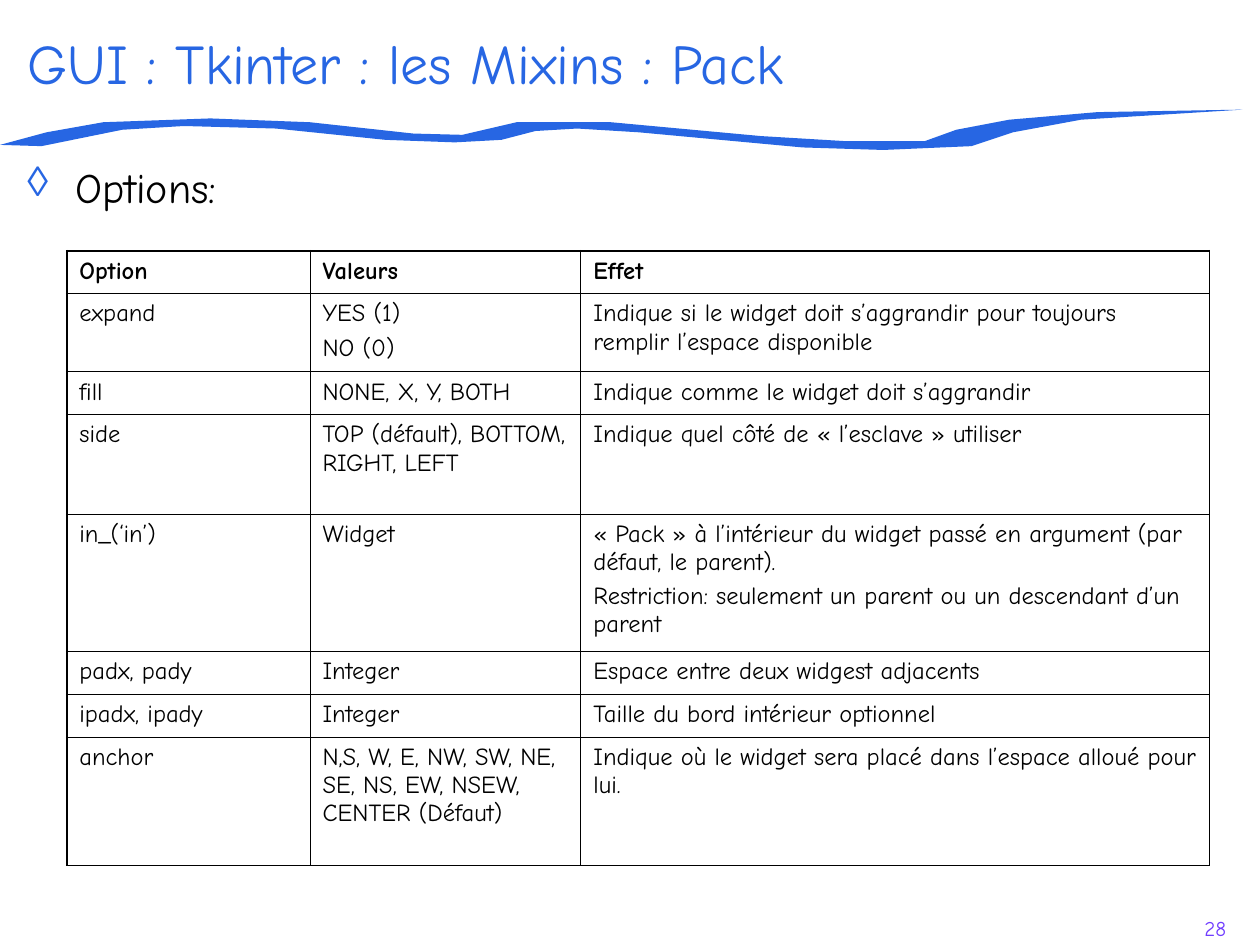
from dataclasses import dataclass

from lxml.etree import SubElement
from pptx import Presentation
from pptx.dml.color import RGBColor
from pptx.enum.text import MSO_ANCHOR, PP_ALIGN
from pptx.oxml.ns import qn
from pptx.util import Inches, Pt


@dataclass(frozen=True)
class Theme:
    """Colours, font and type sizes of the slide."""
    font: str = "Comic Neue"
    accent: str = "2766E3"
    ink: str = "000000"
    number: str = "703DFF"
    title_size: int = 32
    body_size: int = 24
    table_size: int = 14
    number_size: int = 12
    outer_line: float = 1.08
    inner_line: float = 0.45


THEME = Theme()

BRUSH = [
    (0.33, 1.16), (0.97, 1.03), (1.46, 1), (2.19, 1.02), (3.06, 1.11), (3.61, 1.13),
    (3.98, 1.11), (4.25, 1.04), (4.58, 1.02), (5.07, 1.05), (6.37, 1.17), (7.01, 1.19),
    (7.71, 1.16), (8.04, 1.05), (8.58, 0.95), (9.86, 0.87), (8.71, 0.89), (8.01, 0.95),
    (7.59, 1.03), (7.34, 1.12), (6.71, 1.12), (6.04, 1.08), (4.85, 0.97), (4.1, 0.97),
    (3.67, 1.07), (3.28, 1.06), (2.46, 0.97), (1.67, 0.94), (0.82, 0.97), (0.37, 1.05),
    (0, 1.15),
]

COLUMNS = [1.93, 2.15, 4.99]
ROWS = [
    (0.34, "Option", "Valeurs", "Effet"),
    (0.62, "expand", "YES (1)\nNO (0)",
     "Indique si le widget doit s’aggrandir pour toujours remplir l’espace disponible"),
    (0.34, "fill", "NONE, X, Y, BOTH", "Indique comme le widget doit s’aggrandir"),
    (0.79, "side", "TOP (défault), BOTTOM, RIGHT, LEFT",
     "Indique quel côté de « l’esclave » utiliser"),
    (1.09, "in_(‘in’)", "Widget",
     "« Pack » à l’intérieur du widget passé en argument (par défaut, le parent).\n"
     "Restriction: seulement un parent ou un descendant d’un parent"),
    (0.34, "padx, pady", "Integer", "Espace entre deux widgest adjacents"),
    (0.34, "ipadx, ipady", "Integer", "Taille du bord intérieur optionnel"),
    (1.02, "anchor", "N,S, W, E, NW, SW, NE, SE, NS, EW, NSEW, CENTER (Défaut)",
     "Indique où le widget sera placé dans l’espace alloué pour lui."),
]


def style_runs(p, size, color, bold=False):
    """Format every run of a paragraph."""
    for r in p.runs:
        r.font.name = THEME.font
        r.font.size = Pt(size)
        r.font.bold = bold
        r.font.color.rgb = RGBColor.from_string(color)


def add_text(s, text, box, size, color, align=PP_ALIGN.LEFT, anchor=MSO_ANCHOR.TOP):
    """Add a one-paragraph text box and return its paragraph."""
    tf = s.shapes.add_textbox(*map(Inches, box)).text_frame
    tf.word_wrap = True
    tf.vertical_anchor = anchor
    p = tf.paragraphs[0]
    p.text = text
    p.alignment = align
    style_runs(p, size, color)
    return p


def add_bullet(p, char, color, indent):
    """Give a paragraph a coloured bullet with a hanging indent."""
    pPr = p._p.get_or_add_pPr()
    pPr.set("marL", str(Inches(indent)))
    pPr.set("indent", str(-Inches(indent)))
    clr = SubElement(pPr, qn("a:buClr"))
    SubElement(clr, qn("a:srgbClr"), val=color)
    SubElement(pPr, qn("a:buChar"), char=char)


def add_brush(s, points):
    """Draw the brush stroke under the title."""
    x, y = points[0]
    fb = s.shapes.build_freeform(Inches(x), Inches(y))
    fb.add_line_segments([(Inches(x), Inches(y)) for x, y in points[1:]], close=True)
    sp = fb.convert_to_shape()
    sp.shadow.inherit = False
    sp.fill.solid()
    sp.fill.fore_color.rgb = RGBColor.from_string(THEME.accent)
    sp.line.fill.background()


def set_borders(cell, outer):
    """Draw the four cell borders, heavier on the outer sides."""
    tcPr = cell._tc.get_or_add_tcPr()
    for i, side in enumerate("LRTB"):
        width = THEME.outer_line if outer[side] else THEME.inner_line
        ln = tcPr.makeelement(qn(f"a:ln{side}"), {"w": str(Pt(width))})
        fill = SubElement(ln, qn("a:solidFill"))
        SubElement(fill, qn("a:srgbClr"), val=THEME.ink)
        tcPr.insert(i, ln)


def fill_cell(cell, text, bold):
    """Write the paragraphs of one table cell."""
    cell.fill.background()
    cell.text_frame.text = text
    for i, p in enumerate(cell.text_frame.paragraphs):
        if i:
            p.space_before = Pt(3.5)
        style_runs(p, THEME.table_size, THEME.ink, bold)


def add_options_table(s, left, top):
    """Add the table of packing options."""
    heights = [row[0] for row in ROWS]
    table = s.shapes.add_table(len(ROWS), len(COLUMNS), Inches(left), Inches(top),
                               Inches(sum(COLUMNS)), Inches(sum(heights))).table
    table.horz_banding = False
    for column, width in zip(table.columns, COLUMNS):
        column.width = Inches(width)
    for i, (height, *texts) in enumerate(ROWS):
        table.rows[i].height = Inches(height)
        for j, text in enumerate(texts):
            cell = table.cell(i, j)
            fill_cell(cell, text, bold=i == 0)
            set_borders(cell, {"L": j == 0, "R": j == len(COLUMNS) - 1,
                               "T": i == 0, "B": i == len(ROWS) - 1})


def main():
    """Build the slide and save it."""
    prs = Presentation()
    prs.slide_width, prs.slide_height = Inches(10), Inches(7.5)
    s = prs.slides.add_slide(prs.slide_layouts[6])
    add_brush(s, BRUSH)
    add_text(s, "28", (9.29, 7.22, 0.71, 0.28), THEME.number_size, THEME.number,
             align=PP_ALIGN.CENTER)
    add_text(s, "GUI : Tkinter : les Mixins : Pack", (0.12, 0.17, 9.75, 0.64),
             THEME.title_size, THEME.accent, anchor=MSO_ANCHOR.MIDDLE)
    p = add_text(s, "Options:", (0.12, 1.23, 9.76, 5.98), THEME.body_size, THEME.ink)
    add_bullet(p, "◊", THEME.accent, 0.38)
    add_options_table(s, 0.53, 1.99)
    prs.save("out.pptx")


if __name__ == "__main__":
    main()
